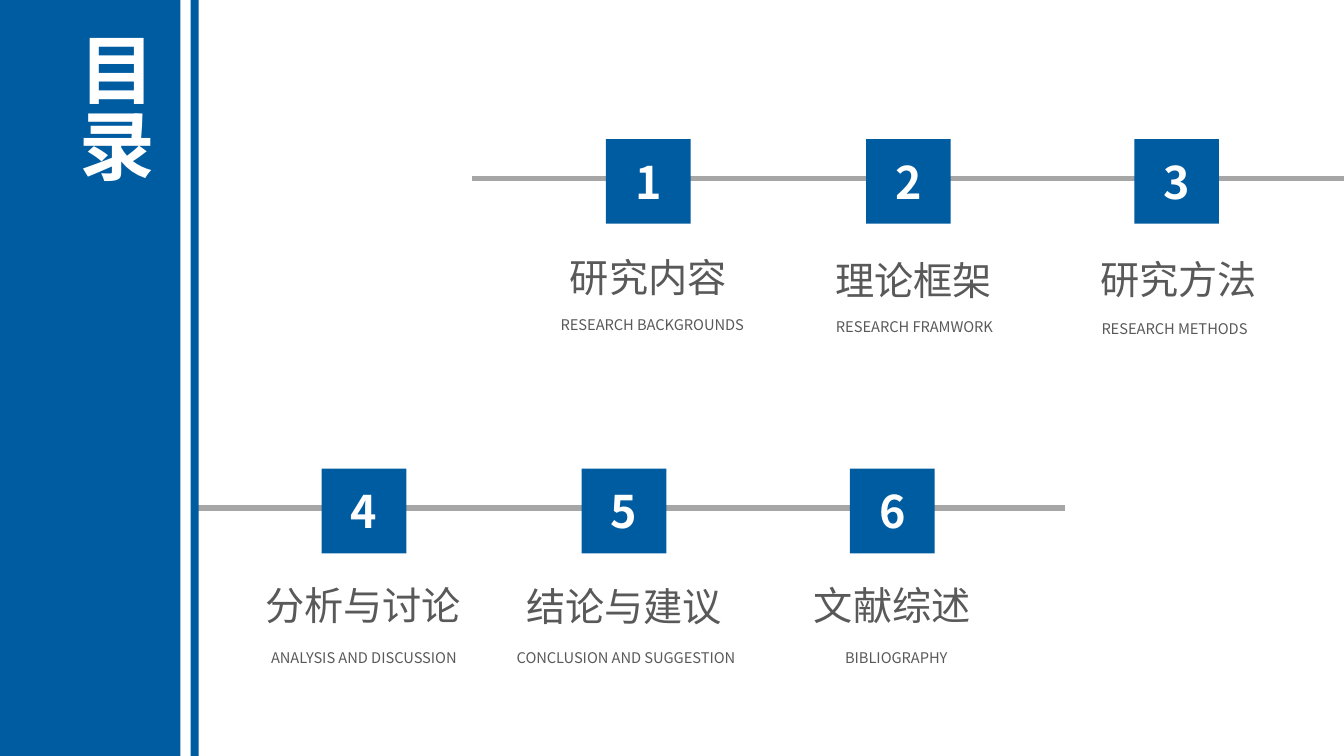
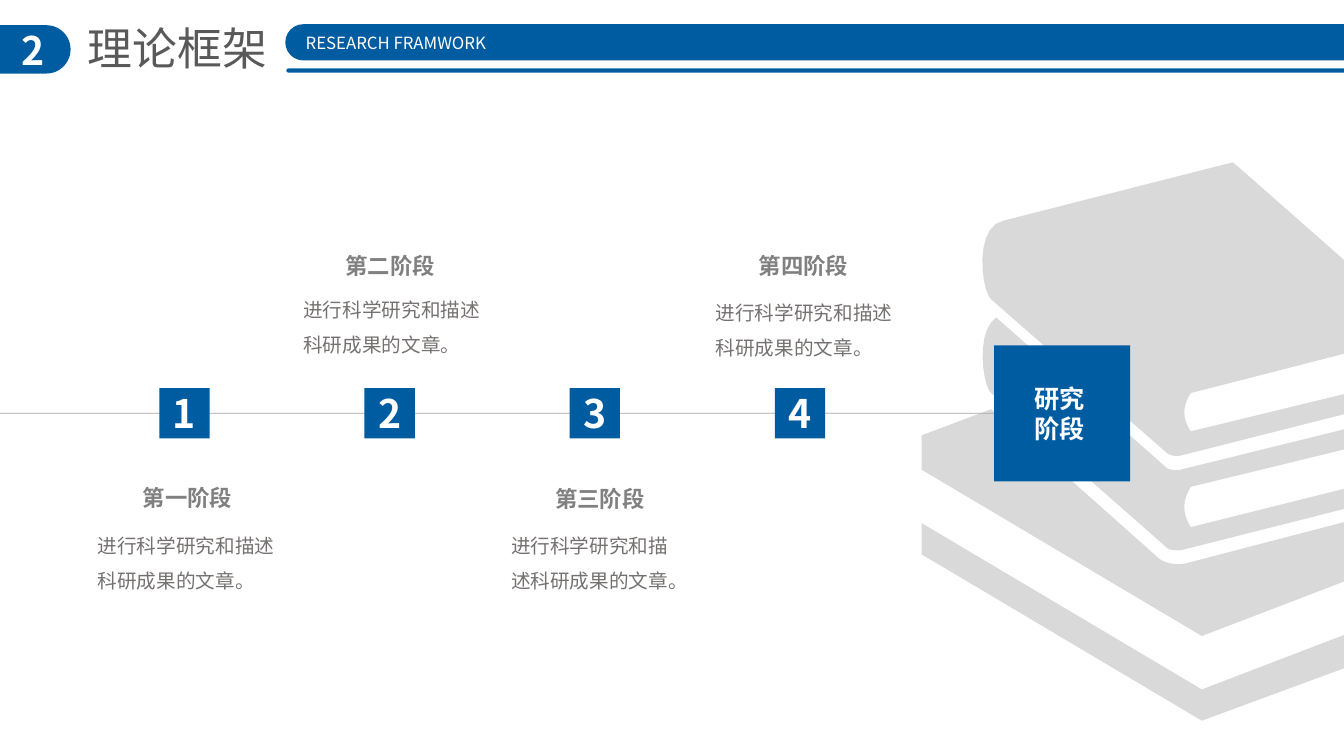
from dataclasses import dataclass
from typing import Optional

from lxml.etree import SubElement
from pptx import Presentation
from pptx.dml.color import RGBColor
from pptx.enum.shapes import MSO_CONNECTOR as Link, MSO_SHAPE as Kind
from pptx.enum.text import MSO_ANCHOR as Anchor, MSO_AUTO_SIZE as Fit, PP_ALIGN as Align
from pptx.oxml.ns import qn
from pptx.util import Inches, Pt

WIDTH, HEIGHT = 13.33, 7.5
FONT = "Noto Sans CJK SC"
COLORS = {
    "blue": "005CA1",
    "white": "FFFFFF",
    "dark": "595959",
    "line": "A6A6A6",
    "head": "808080",
    "body": "767171",
    "books": "D9D9D9",
}


@dataclass
class Style:
    size: float
    color: str
    bold: bool = False
    align: Align = Align.CENTER
    spacing: Optional[float] = None


@dataclass
class Topic:
    left: float
    label: str
    label_mid: float
    label_top: float
    note: str
    note_mid: float
    note_top: float


@dataclass
class Row:
    start: float
    end: float
    top: float
    topics: list[Topic]


@dataclass
class Stage:
    name: str
    mid: float
    top: float
    left: float
    text_top: float
    width: float


TITLE = Style(32, "dark", align=Align.LEFT)
SIDE = Style(54, "white", True, Align.LEFT)
BIG = Style(32, "white", True)
NUMBER = Style(28, "white", True)
LABEL = Style(28, "dark")
NOTE = Style(10.5, "dark")
BANNER = Style(12, "white", align=Align.LEFT)
GOAL = Style(18, "white", True, Align.LEFT)
NAME = Style(16, "head", True)
BODY = Style(14, "body", align=Align.LEFT, spacing=1.5)

ROWS = [
    Row(4.68, WIDTH, 1.38, [
        Topic(6.01, "研究内容", 6.43, 2.46, "RESEARCH BACKGROUNDS", 6.47, 3.08),
        Topic(8.59, "理论框架", 9.06, 2.49, "RESEARCH FRAMWORK", 9.07, 3.1),
        Topic(11.25, "研究方法", 11.69, 2.48, "RESEARCH METHODS", 11.65, 3.12),
    ]),
    Row(1.9, 10.56, 4.65, [
        Topic(3.19, "分析与讨论", 3.6, 5.72, "ANALYSIS AND DISCUSSION", 3.61, 6.39),
        Topic(5.77, "结论与建议", 6.19, 5.73, "CONCLUSION AND SUGGESTION", 6.21, 6.39),
        Topic(8.43, "文献综述", 8.85, 5.72, "BIBLIOGRAPHY", 8.89, 6.39),
    ]),
]

STAGES = [
    Stage("第一阶段", 1.86, 4.75, 0.87, 5.13, 1.99),
    Stage("第二阶段", 3.87, 2.45, 2.91, 2.79, 2.04),
    Stage("第三阶段", 5.95, 4.76, 4.97, 5.13, 1.95),
    Stage("第四阶段", 7.97, 2.45, 7, 2.82, 2.07),
]
STAGE_TEXT = "进行科学研究和描述科研成果的文章。"

# Two numbers are a corner; six are the controls and end of a curve.
BOOKS = [
    [(WIDTH, 4.26), (WIDTH, 4.46), (11.81, 4.83),
     (11.72, 4.98, 11.73, 5.1, 11.81, 5.23), (WIDTH, 4.85), (WIDTH, 5.05),
     (11.71, 5.46), (11.66, 5.46, 11.61, 5.46, 11.58, 5.44), (9.83, 3.9),
     (9.75, 3.84, 9.67, 3.29, 9.88, 3.15), (11.58, 4.65),
     (11.61, 4.66, 11.66, 4.67, 11.71, 4.66)],
    [(9.95, 2.19), (12.23, 1.61), (WIDTH, 2.58), (WIDTH, 3.51), (11.81, 3.9),
     (11.72, 4.04, 11.73, 4.16, 11.81, 4.28), (WIDTH, 3.91), (WIDTH, 4.11),
     (11.71, 4.52), (11.66, 4.53, 11.61, 4.52, 11.58, 4.5), (9.83, 2.97),
     (9.73, 2.88, 9.66, 2.25, 9.95, 2.19)],
    [(11.92, 6.84), (9.14, 5.19), (9.14, 5.5), (11.92, 7.15), (WIDTH, 6.63),
     (WIDTH, 6.3)],
    [(WIDTH, 5.18), (11.76, 5.59), (11.66, 5.61, 11.53, 5.59, 11.46, 5.51),
     (9.83, 4.06), (9.14, 4.32), (9.14, 4.66), (11.92, 6.31), (WIDTH, 5.77)],
]


def rgb(name: str) -> RGBColor:
    return RGBColor.from_string(COLORS[name])


def write(frame, text: str, style: Style) -> None:
    frame.text = text
    for para in frame.paragraphs:
        para.alignment = style.align
        if style.spacing:
            para.line_spacing = style.spacing
        for run in para.runs:
            font = run.font
            font.name, font.size, font.bold = FONT, Pt(style.size), style.bold
            font.color.rgb = rgb(style.color)
            SubElement(run._r.get_or_add_rPr(), qn("a:ea")).set("typeface", FONT)


def paint(shape, color: str) -> None:
    shape.shadow.inherit = False
    shape.fill.solid()
    shape.fill.fore_color.rgb = rgb(color)
    shape.line.fill.background()


def add_block(slide, left: float, top: float, width: float, height: float,
              text: str = "", style: Style = NUMBER, kind: Kind = Kind.RECTANGLE,
              pad: tuple[float, float] = (0, 0)):
    """Add a blue shape with its text; pad is the left and right inset."""
    shape = slide.shapes.add_shape(kind, Inches(left), Inches(top), Inches(width), Inches(height))
    paint(shape, "blue")
    if kind == Kind.ROUNDED_RECTANGLE:
        shape.adjustments[0] = 0.5
    if text:
        frame = shape.text_frame
        frame.margin_left, frame.margin_right = map(Inches, pad)
        frame.margin_top = frame.margin_bottom = 0
        frame.vertical_anchor = Anchor.MIDDLE
        write(frame, text, style)
    return shape


def add_text(slide, left: float, top: float, width: float, height: float,
             text: str, style: Style) -> None:
    box = slide.shapes.add_textbox(Inches(left), Inches(top), Inches(width), Inches(height))
    box.text_frame.word_wrap = True
    write(box.text_frame, text, style)


def add_label(slide, mid: float, top: float, text: str, style: Style) -> None:
    """Add one line of text centred on mid."""
    width = 2.8
    add_text(slide, mid - width / 2, top, width, 0.4, text, style)


def add_line(slide, start: float, end: float, y: float, weight: float):
    line = slide.shapes.add_connector(
        Link.STRAIGHT, Inches(start), Inches(y), Inches(end), Inches(y))
    line.line.color.rgb = rgb("line")
    line.line.width = Pt(weight)
    SubElement(line._element.spPr, qn("a:effectLst"))
    return line


def set_title(slide, left: float, top: float, width: float, height: float,
              text: str, style: Style, wrap: bool) -> None:
    """Place the title in front of all other shapes."""
    title = slide.shapes.title
    title.left, title.top = Inches(left), Inches(top)
    title.width, title.height = Inches(width), Inches(height)
    frame = title.text_frame
    write(frame, text, style)
    frame.auto_size = Fit.NONE
    frame.vertical_anchor = Anchor.TOP
    frame.word_wrap = wrap
    title.element.getparent().append(title.element)


def flatten(outline: list[tuple], steps: int = 10) -> list[tuple[int, int]]:
    """Turn corners and curves into plain points."""
    points = []
    for node in outline:
        if len(node) == 2:
            points.append(node)
            continue
        ax, ay = points[-1]
        bx, by, cx, cy, dx, dy = node
        for i in range(1, steps + 1):
            t = i / steps
            u = 1 - t
            a, b, c, d = u ** 3, 3 * u * u * t, 3 * u * t * t, t ** 3
            points.append((a * ax + b * bx + c * cx + d * dx,
                           a * ay + b * by + c * cy + d * dy))
    return [(Inches(x), Inches(y)) for x, y in points]


def add_books(slide) -> None:
    first, *rest = map(flatten, BOOKS)
    pen = slide.shapes.build_freeform(*first[0])
    pen.add_line_segments(first[1:])
    for points in rest:
        pen.move_to(*points[0])
        pen.add_line_segments(points[1:])
    paint(pen.convert_to_shape(), "books")


def add_agenda(slide) -> None:
    side = 0.84
    number = 0
    for row in ROWS:
        add_line(slide, row.start, row.end, row.top + 0.39, 4)
        for topic in row.topics:
            number += 1
            add_block(slide, topic.left, row.top, side, side, str(number), BIG)
            add_label(slide, topic.label_mid, topic.label_top, topic.label, LABEL)
            add_label(slide, topic.note_mid, topic.note_top, topic.note, NOTE)
    add_block(slide, 0, 0, 1.79, HEIGHT)
    add_block(slide, 1.89, 0, 0.08, HEIGHT)
    set_title(slide, 0.58, 0.27, 1.11, 1.92, "目录", SIDE, True)
    slide.shapes.title.text_frame._txBody.bodyPr.set("vert", "eaVert")


def add_header(slide, number: str, title: str, note: str) -> None:
    pill = Kind.ROUNDED_RECTANGLE
    add_block(slide, -0.28, 0.25, 0.98, 0.48, number, NUMBER, pill, (0.23, 0))
    add_block(slide, 2.83, 0.24, 11.03, 0.36, note, BANNER, pill, (0.15, 0))
    add_block(slide, 2.84, 0.68, 11.03, 0.04, kind=pill)
    set_title(slide, 0.77, 0.16, 2, 0.64, title, TITLE, False)


def add_stages(slide) -> None:
    axis, side, goal = 4.1, 0.5, 1.35
    line = add_line(slide, 0, 9.86, axis, 0.5)
    for i, stage in enumerate(STAGES):
        add_block(slide, 1.58 + 2.035 * i, axis - side / 2, side, side, str(i + 1))
        add_label(slide, stage.mid, stage.top, stage.name, NAME)
        add_text(slide, stage.left, stage.text_top, stage.width, 0.81, STAGE_TEXT, BODY)
    end = add_block(slide, 9.86, axis - goal / 2, goal, goal, "研究阶段", GOAL, pad=(0.4, 0.4))
    line.end_connect(end, 1)


def main() -> None:
    deck = Presentation()
    deck.slide_width, deck.slide_height = Inches(WIDTH), Inches(HEIGHT)
    layout = deck.slide_layouts[5]
    add_agenda(deck.slides.add_slide(layout))
    theory = deck.slides.add_slide(layout)
    add_books(theory)
    add_header(theory, "2", "理论框架", "RESEARCH FRAMWORK")
    add_stages(theory)
    deck.save("out.pptx")


if __name__ == "__main__":
    main()
